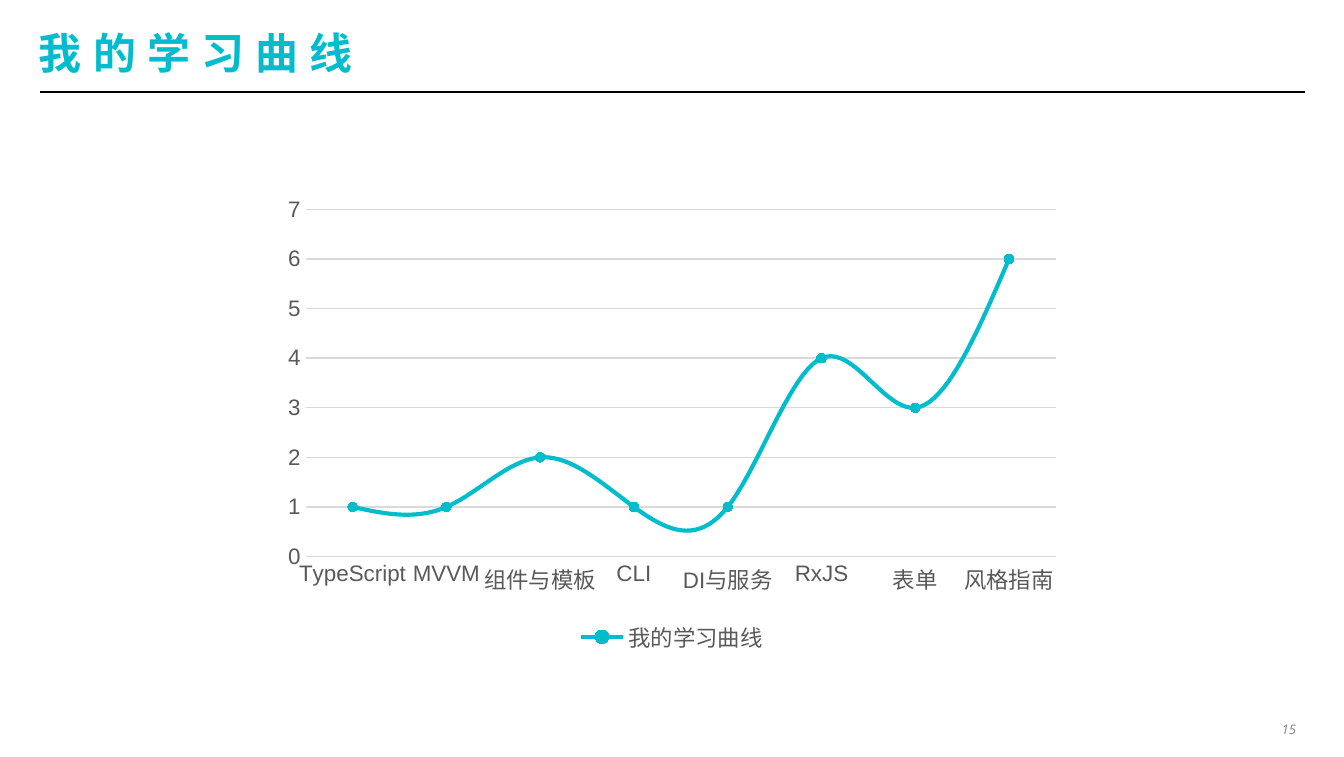
import pptx
import pptx.chart.data
import pptx.dml.color
import pptx.enum.chart
import pptx.enum.shapes
import pptx.enum.text
import pptx.oxml
import pptx.oxml.ns
import pptx.util

PX = 914400 / 134.4
TEAL, GREY, PALE = "00BCCD", "595959", "D9D9D9"
CURVE = {"TypeScript": 1, "MVVM": 1, "组件与模板": 2, "CLI": 1,
         "DI与服务": 1, "RxJS": 4, "表单": 3, "风格指南": 6}


def px(n):
    """Turn pixels into EMU."""
    return pptx.util.Emu(round(n * PX))


def rgb(value):
    """Turn a hex string into a colour."""
    return pptx.dml.color.RGBColor.from_string(value)


def style_font(font, size, color, name="Arial", bold=False, italic=False):
    """Set the size, colour, face and weight of a font."""
    font.size = pptx.util.Pt(size)
    font.color.rgb = rgb(color)
    font.name = name
    font.bold, font.italic = bold, italic


def style_line(line, color, width):
    """Set the colour and point width of a line."""
    line.color.rgb = rgb(color)
    line.width = pptx.util.Pt(width)


def write(sp, text, align="LEFT", anchor="TOP", inset=(0, 0), wrap=True, spacing=0, **fmt):
    """Write one formatted paragraph into a shape."""
    tf = sp.text_frame
    tf.auto_size = pptx.enum.text.MSO_AUTO_SIZE.NONE
    tf.word_wrap = wrap
    tf.vertical_anchor = getattr(pptx.enum.text.MSO_ANCHOR, anchor)
    tf.margin_left = tf.margin_right = px(inset[0])
    tf.margin_top = tf.margin_bottom = px(inset[1])
    p = tf.paragraphs[0]
    p.alignment = getattr(pptx.enum.text.PP_ALIGN, align)
    r = p.add_run()
    r.text = text
    style_font(r.font, **fmt)
    rPr = r.font._element
    if spacing:
        rPr.set("spc", str(spacing * 100))
    ea = pptx.oxml.parse_xml(f'<a:ea {pptx.oxml.ns.nsdecls("a")}/>')
    ea.set("typeface", fmt.get("name", "Arial"))
    rPr.append(ea)


def add_header(s, text, x, y, w, h):
    """Place the title and the rule under it."""
    sp = s.shapes.title
    sp.left, sp.top, sp.width, sp.height = px(x), px(y), px(w), px(h - 12)
    write(sp, text, anchor="MIDDLE", size=23, color=TEAL,
          name="Noto Sans CJK JP", bold=True, spacing=6)
    rule = s.shapes.add_connector(pptx.enum.shapes.MSO_CONNECTOR.STRAIGHT,
                                  px(x + 1), px(y + h), px(x + w), px(y + h))
    style_line(rule.line, "000000", 1)
    rule._element.spPr.append(
        pptx.oxml.parse_xml(f'<a:effectLst {pptx.oxml.ns.nsdecls("a")}/>'))


def add_curve(s, name, points, x, y, w, h):
    """Place the smoothed line chart with its axes and legend."""
    kinds = pptx.enum.chart
    data = pptx.chart.data.CategoryChartData()
    data.categories = list(points)
    data.add_series(name, list(points.values()))
    chart = s.shapes.add_chart(kinds.XL_CHART_TYPE.LINE_MARKERS,
                               px(x), px(y), px(w), px(h), data).chart
    chart.has_title = False
    style_font(chart.font, 10, "000000")

    for axis in (chart.category_axis, chart.value_axis):
        axis.major_tick_mark = axis.minor_tick_mark = kinds.XL_TICK_MARK.NONE
        style_font(axis.tick_labels.font, 12, GREY)
    style_line(chart.category_axis.format.line, PALE, 0.75)
    val = chart.value_axis
    val.minimum_scale, val.maximum_scale, val.major_unit = 0, 7, 1
    val.format.line.fill.background()
    style_line(val.major_gridlines.format.line, PALE, 0.75)

    chart.has_legend = True
    chart.legend.position = kinds.XL_LEGEND_POSITION.BOTTOM
    chart.legend.include_in_layout = False
    style_font(chart.legend.font, 12, GREY)

    plot = chart.plots[0]
    plot.vary_by_categories = False
    series = plot.series[0]
    series.smooth = True
    style_line(series.format.line, TEAL, 2.25)
    marker = series.marker
    marker.style, marker.size = kinds.XL_MARKER_STYLE.CIRCLE, 5
    marker.format.fill.solid()
    marker.format.fill.fore_color.rgb = rgb(TEAL)
    style_line(marker.format.line, TEAL, 0.75)


def add_page_number(s, number, x, y, w, h):
    """Place the page number."""
    sp = s.shapes.add_textbox(px(x), px(y), px(w), px(h))
    write(sp, number, align="RIGHT", inset=(8, 4), wrap=False,
          size=7, color="808184", name="Open Sans", italic=True)


def main():
    """Build and save the slide."""
    prs = pptx.Presentation()
    prs.slide_width, prs.slide_height = px(1344), px(757)
    s = prs.slides.add_slide(prs.slide_layouts[5])
    add_header(s, "我的学习曲线", 39, 24, 1266, 68)
    add_curve(s, "我的学习曲线", CURVE, 272, 188, 800, 471)
    add_page_number(s, "15", 1276, 717, 28, 23)
    prs.save("out.pptx")


if __name__ == "__main__":
    main()
